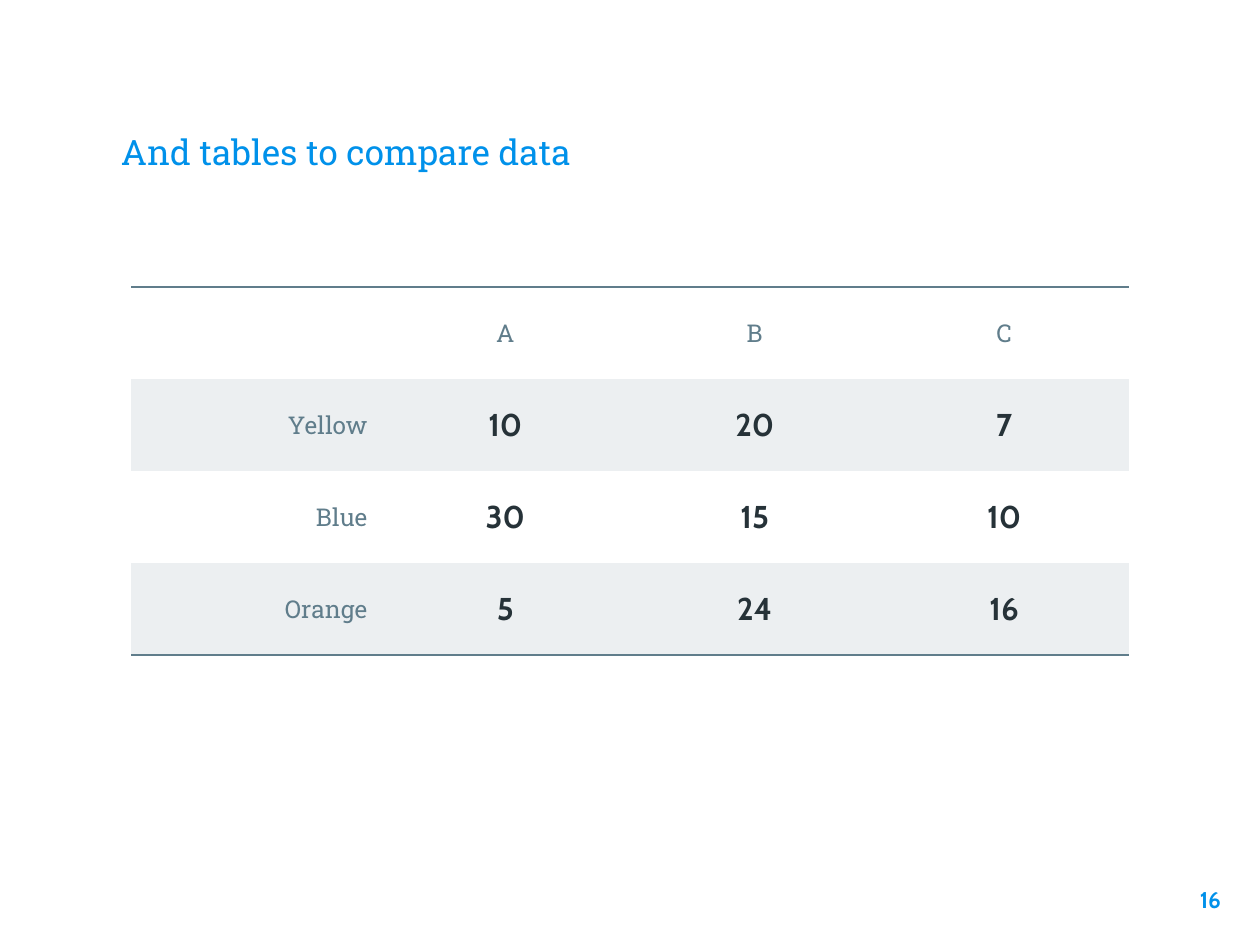
import dataclasses

import lxml.etree
import pptx
import pptx.dml.color
import pptx.enum.text
import pptx.oxml.ns
import pptx.util

EMU_PER_PX = 914400 / 126
INSET = 13
BLUE, SLATE, INK, BAND, WHITE = "0091EA", "607D8B", "263238", "ECEFF1", "FFFFFF"
ALIGN = pptx.enum.text.PP_ALIGN
ANCHOR = pptx.enum.text.MSO_ANCHOR


@dataclasses.dataclass(frozen=True)
class Box:
    left: int
    top: int
    width: int
    height: int

    def emu(self) -> list[int]:
        return [px(length) for length in dataclasses.astuple(self)]


@dataclasses.dataclass(frozen=True)
class DataRow:
    label: str
    values: tuple[str, ...]


TITLE_BOX = Box(108, 57, 1043, 129)
TABLE_BOX = Box(131, 287, 998, 368)
NUMBER_BOX = Box(1158, 873, 76, 72)

ROWS = [
    DataRow("", ("A", "B", "C")),
    DataRow("Yellow", ("10", "20", "7")),
    DataRow("Blue", ("30", "15", "10")),
    DataRow("Orange", ("5", "24", "16")),
]


def px(length: float) -> int:
    return round(length * EMU_PER_PX)


def color(value: str) -> pptx.dml.color.RGBColor:
    return pptx.dml.color.RGBColor.from_string(value)


def write(frame, text: str, *, size: int, font: str, fill: str,
          bold: bool = False, align=ALIGN.LEFT) -> None:
    paragraph = frame.paragraphs[0]
    paragraph.alignment = align
    if not text:
        return
    run = paragraph.add_run()
    run.text = text
    run.font.size = pptx.util.Pt(size)
    run.font.name = font
    run.font.bold = bold
    run.font.color.rgb = color(fill)


def add_text(slide, box: Box, text: str, *, anchor=ANCHOR.TOP, **text_format) -> None:
    frame = slide.shapes.add_textbox(*box.emu()).text_frame
    frame.word_wrap = True
    frame.vertical_anchor = anchor
    frame.margin_left = frame.margin_right = px(INSET)
    frame.margin_top = frame.margin_bottom = px(INSET)
    write(frame, text, **text_format)


def set_borders(cell, ruled_sides: set[str]) -> None:
    """Rule the named sides of a cell and clear the others."""
    properties = cell._tc.get_or_add_tcPr()
    qn = pptx.oxml.ns.qn
    for position, side in enumerate("LRTB"):
        line = lxml.etree.Element(qn(f"a:ln{side}"))
        if side in ruled_sides:
            line.set("w", str(pptx.util.Pt(1.5)))
            solid = lxml.etree.SubElement(line, qn("a:solidFill"))
            lxml.etree.SubElement(solid, qn("a:srgbClr"), val=SLATE)
        else:
            lxml.etree.SubElement(line, qn("a:noFill"))
        properties.insert(position, line)


def add_comparison(slide, box: Box, rows: list[DataRow]) -> None:
    column_count = 1 + len(rows[0].values)
    table = slide.shapes.add_table(len(rows), column_count, *box.emu()).table
    table.first_row = table.horz_banding = False
    for column in table.columns:
        column.width = px(box.width / column_count)
    for row in table.rows:
        row.height = px(box.height / len(rows))

    label_format = dict(size=14, font="Roboto Slab", fill=SLATE)
    value_format = dict(size=18, font="Cabin", fill=INK, bold=True)
    ruled = {0: {"T"}, len(rows) - 1: {"B"}}
    for r, row in enumerate(rows):
        for c, text in enumerate((row.label, *row.values)):
            cell = table.cell(r, c)
            cell.vertical_anchor = ANCHOR.MIDDLE
            cell.margin_left = cell.margin_right = px(INSET)
            cell.margin_top = cell.margin_bottom = px(INSET)
            if r % 2:
                cell.fill.solid()
                cell.fill.fore_color.rgb = color(BAND)
            else:
                cell.fill.background()
            set_borders(cell, ruled.get(r, set()))
            text_format = value_format if r and c else label_format
            write(cell.text_frame, text, align=ALIGN.CENTER if c else ALIGN.RIGHT,
                  **text_format)


def main() -> None:
    deck = pptx.Presentation()
    deck.slide_width, deck.slide_height = px(1260), px(945)
    slide = deck.slides.add_slide(deck.slide_layouts[6])
    slide.background.fill.solid()
    slide.background.fill.fore_color.rgb = color(WHITE)

    # Title
    add_text(slide, TITLE_BOX, "And tables to compare data", anchor=ANCHOR.BOTTOM,
             size=20, font="Roboto Slab", fill=BLUE)
    # Comparison table
    add_comparison(slide, TABLE_BOX, ROWS)
    # Page number
    add_text(slide, NUMBER_BOX, "16", size=13, font="Cabin", fill=BLUE,
             bold=True, align=ALIGN.RIGHT)

    deck.save("out.pptx")


if __name__ == "__main__":
    main()
